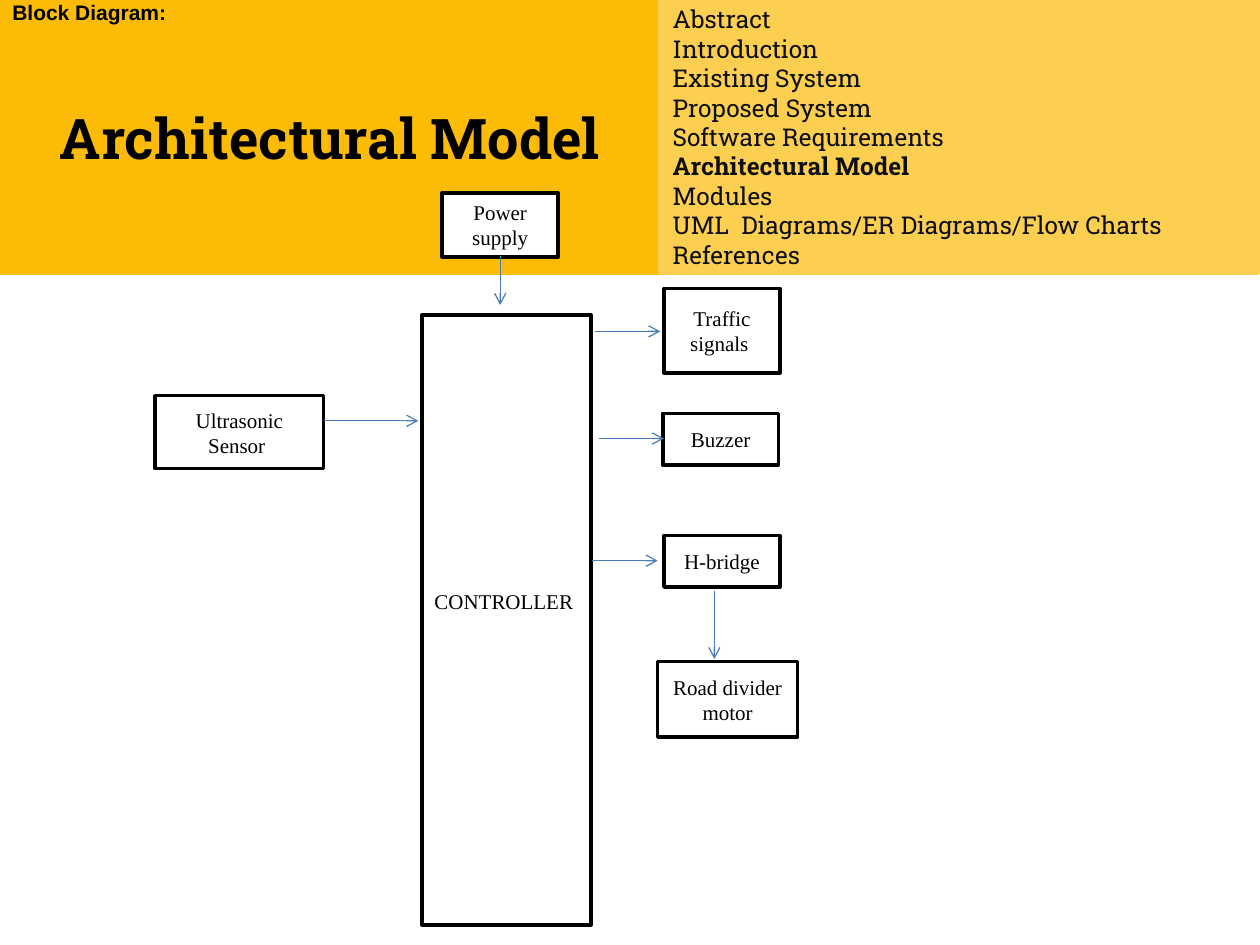
import pptx
import pptx.util
import pptx.dml.color
import pptx.enum.shapes
import pptx.enum.text
import pptx.oxml.ns
from lxml import etree

Inches = pptx.util.Inches
Align = pptx.enum.text.PP_ALIGN
Anchor = pptx.enum.text.MSO_ANCHOR

COLORS = {
    "amber": "FCBB06",
    "light_amber": "FDCF51",
    "white": "FFFFFF",
    "black": "000000",
    "ink": "0D0D0D",
    "arrow": "4A7EBB",
}


def color(name):
    return pptx.dml.color.RGBColor.from_string(COLORS[name])


class DiagramPage:
    heading_font = "Roboto Slab"
    block_font = "Times New Roman"
    label_font = "Arial"

    def __init__(self, deck):
        self.page = deck.slides.add_slide(deck.slide_layouts[5])

    def place(self, shape, left, top, width, height):
        shape.left, shape.top = Inches(left), Inches(top)
        shape.width, shape.height = Inches(width), Inches(height)

    def paint(self, shape, fill, line):
        shape.fill.solid()
        shape.fill.fore_color.rgb = color(fill)
        shape.line.color.rgb = color(line)
        shape.line.width = pptx.util.Pt(2)

    def set_text(self, shape, lines, font, size, ink="black", align=Align.CENTER,
                 anchor=Anchor.MIDDLE, bold=False, bold_line=None):
        frame = shape.text_frame
        frame.text = "\n".join(lines)
        frame.word_wrap = True
        frame.auto_size = pptx.enum.text.MSO_AUTO_SIZE.NONE
        frame.vertical_anchor = anchor
        for paragraph in frame.paragraphs:
            paragraph.alignment = align
            paragraph.font.name = font
            paragraph.font.size = pptx.util.Pt(size)
            paragraph.font.color.rgb = color(ink)
            paragraph.font.bold = bold or paragraph.text == bold_line

    def title(self, text, *place):
        shape = self.page.shapes.title
        self.place(shape, *place)
        self.paint(shape, "amber", "amber")
        self.set_text(shape, [text], self.heading_font, 32, bold=True)

    def rectangle(self, place, fill, line):
        shape = self.page.shapes.add_shape(
            pptx.enum.shapes.MSO_SHAPE.RECTANGLE, *map(Inches, place))
        shape.shadow.inherit = False
        self.paint(shape, fill, line)
        return shape

    def agenda(self, lines, current, *place):
        shape = self.rectangle(place, "light_amber", "light_amber")
        self.set_text(shape, lines, self.heading_font, 14, "ink", Align.LEFT,
                      bold_line=current)

    def block(self, text, *place, align=Align.CENTER):
        shape = self.rectangle(place, "white", "black")
        self.set_text(shape, [text], self.block_font, 12, align=align)
        return shape

    def arrow(self, left, top, right, bottom):
        connector = self.page.shapes.add_connector(
            pptx.enum.shapes.MSO_CONNECTOR.STRAIGHT,
            *map(Inches, (left, top, right, bottom)))
        connector.line.color.rgb = color("arrow")
        connector.line.width = pptx.util.Pt(0.75)
        qn = pptx.oxml.ns.qn
        properties = connector._element.spPr
        head = etree.SubElement(properties.find(qn("a:ln")), qn("a:tailEnd"))
        head.set("type", "arrow")
        etree.SubElement(properties, qn("a:effectLst"))

    def label(self, text, *place):
        box = self.page.shapes.add_textbox(*map(Inches, place))
        self.set_text(box, [text], self.label_font, 12, align=Align.LEFT,
                      anchor=Anchor.TOP, bold=True)
        box.text_frame.margin_top = 0


deck = pptx.Presentation()
deck.slide_width, deck.slide_height = Inches(10), Inches(7.5)
diagram = DiagramPage(deck)

# Header: title and agenda
TITLE = "Architectural Model"
diagram.title(TITLE, 0, 0, 5.24, 2.17)
diagram.agenda(
    ["Abstract", "Introduction", "Existing System", "Proposed System",
     "Software Requirements", TITLE, "Modules",
     "UML  Diagrams/ER Diagrams/Flow Charts", "References"],
    TITLE, 5.24, 0, 4.75, 2.17)

# Controller, with its text a little above the middle
controller = diagram.block("CONTROLLER", 3.35, 2.5, 1.34, 4.84, align=Align.LEFT)
controller.text_frame.margin_bottom = Inches(0.35)

# Blocks around the controller
for text, *place in [
    ("Ultrasonic Sensor ", 1.23, 3.14, 1.34, 0.58),
    ("Power supply", 3.51, 1.53, 0.92, 0.51),
    ("Traffic signals ", 5.27, 2.29, 0.92, 0.67),
    ("Buzzer", 5.26, 3.28, 0.92, 0.41),
    ("H-bridge", 5.27, 4.25, 0.92, 0.41),
    ("Road divider motor", 5.22, 5.25, 1.11, 0.6),
]:
    diagram.block(text, *place)

# Signal flow: inputs, outputs, then bridge to motor
diagram.arrow(2.57, 3.34, 3.32, 3.34)
diagram.arrow(3.97, 2.03, 3.97, 2.42)
for left, top in [(4.72, 2.63), (4.75, 3.48), (4.7, 4.45)]:
    diagram.arrow(left, top, left + 0.52, top)
diagram.arrow(5.67, 4.69, 5.67, 5.23)

# Caption
diagram.label("Block Diagram:", 0, 0, 10, 0.5)

deck.save("out.pptx")
